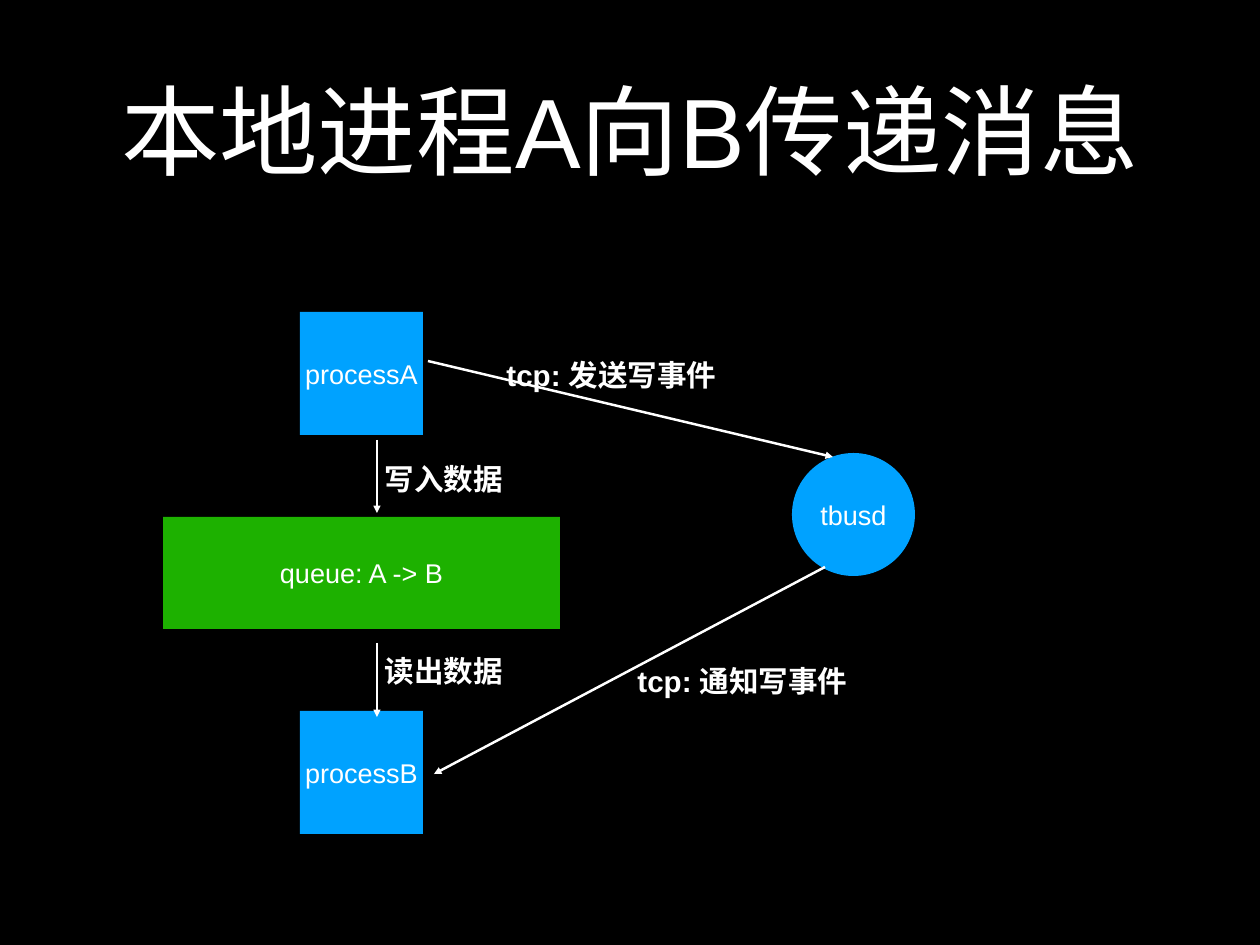
from lxml import etree
from pptx import Presentation
from pptx import util as u
from pptx.dml.color import RGBColor
from pptx.enum import shapes, text
from pptx.oxml import ns

SCALE = 914400 / 88.6  # EMU per px


def px(*lengths):
    return [u.Emu(round(n * SCALE)) for n in lengths]


def put_text(sp, words, size, bold=False, color="FFFFFF"):
    tf = sp.text_frame
    tf.text = words
    tf.word_wrap = True
    tf.auto_size = text.MSO_AUTO_SIZE.NONE
    tf.vertical_anchor = text.MSO_ANCHOR.MIDDLE
    tf.margin_left, tf.margin_top, tf.margin_right, tf.margin_bottom = px(5, 5, 5, 5)
    p = tf.paragraphs[0]
    p.alignment = text.PP_ALIGN.CENTER
    font = p.runs[0].font
    font.name, font.size, font.bold = "Arial", u.Pt(size), bold
    font.color.rgb = RGBColor.from_string(color)


prs = Presentation()
prs.slide_width, prs.slide_height = px(1260, 945)
s = prs.slides.add_slide(prs.slide_layouts[5])
s.background.fill.solid()
s.background.fill.fore_color.rgb = RGBColor.from_string("000000")

# Title
title = s.shapes.title
title.left, title.top, title.width, title.height = px(92, 25, 1076, 209)
put_text(title, "本地进程A向B传递消息", 80)

# Processes, bus daemon and queue
RECT, OVAL = shapes.MSO_SHAPE.RECTANGLE, shapes.MSO_SHAPE.OVAL
nodes = [
    (RECT, "processA", "00A2FF", 300, 312, 123, 123),
    (RECT, "processB", "00A2FF", 300, 711, 123, 123),
    (OVAL, "tbusd", "00A2FF", 792, 453, 123, 123),
    (RECT, "queue: A -> B", "1DB100", 163, 517, 397, 112),
]
for kind, name, color, *box in nodes:
    sp = s.shapes.add_shape(kind, *px(*box))
    sp.shadow.inherit = False
    sp.fill.solid()
    sp.fill.fore_color.rgb = RGBColor.from_string(color)
    sp.line.fill.background()
    put_text(sp, name, 22)

# Arrows
arrows = [
    (428, 361, 833, 457),
    (825, 567, 434, 774),
    (377, 440, 377, 513),
    (377, 643, 377, 717),
]
for ends in arrows:
    arrow = s.shapes.add_connector(shapes.MSO_CONNECTOR.STRAIGHT, *px(*ends))
    arrow.line.width = u.Pt(2)
    arrow.line.color.rgb = RGBColor.from_string("FFFFFF")
    etree.SubElement(arrow.line._get_or_add_ln(), ns.qn("a:tailEnd"), type="triangle")
    etree.SubElement(arrow._element.spPr, ns.qn("a:effectLst"))

# Arrow labels
labels = [
    ("写入数据", 379, 453, 130),
    ("读出数据", 379, 645, 130),
    ("tcp: 发送写事件", 501, 349, 221),
    ("tcp: 通知写事件", 632, 655, 221),
]
for words, left, top, width in labels:
    put_text(s.shapes.add_textbox(*px(left, top, width, 51)), words, 24, bold=True)

prs.save("out.pptx")
